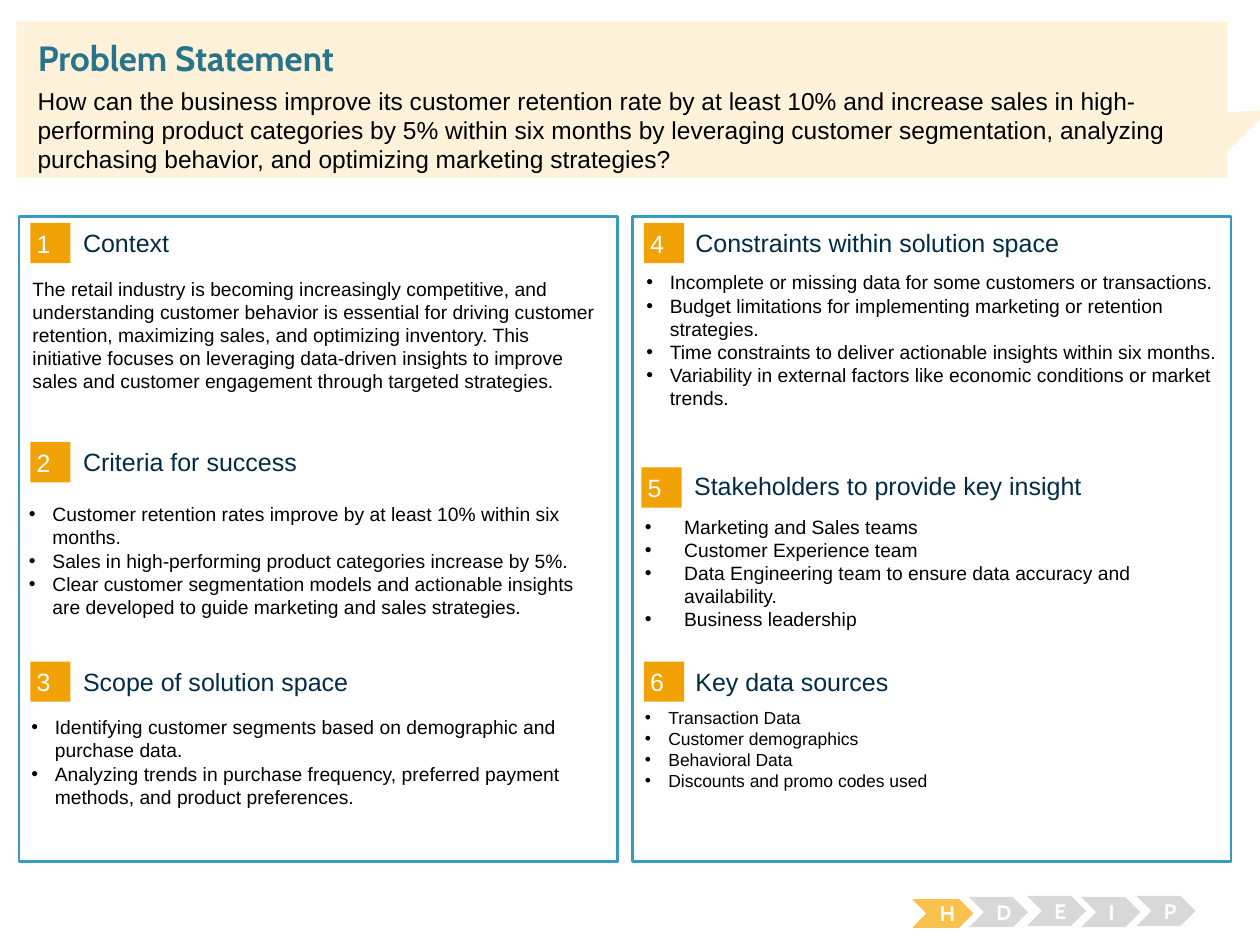
"""Build the problem statement slide with six numbered sections."""
import pptx
import pptx.dml.color
import pptx.enum.shapes
import pptx.enum.text
import pptx.oxml
import pptx.oxml.ns
import pptx.util

Pt = pptx.util.Pt
SHAPES = pptx.enum.shapes.MSO_SHAPE
ANCHORS = pptx.enum.text.MSO_ANCHOR
COLORS = {
    "white": "FFFFFF", "black": "000000", "border": "379BBD", "badge": "F1A205",
    "heading": "002C46", "title": "29748D", "banner": "FEF2DA",
    "active": "FBC14E", "inactive": "D8D8D8",
}


def add_box(kind, left, top, width, height, fill, line=None, line_width=0.75):
    shape = slide.shapes.add_shape(kind, Pt(left), Pt(top), Pt(width), Pt(height))
    shape.shadow.inherit = False
    shape.fill.solid()
    shape.fill.fore_color.rgb = pptx.dml.color.RGBColor.from_string(COLORS[fill])
    if line:
        shape.line.color.rgb = pptx.dml.color.RGBColor.from_string(COLORS[line])
        shape.line.width = Pt(line_width)
    else:
        shape.line.fill.background()
    return shape


def add_text(text, shape=None, box=None, size=11, font="Arial", color="black", bold=False,
             insets=(7.2, 3.6), anchor=ANCHORS.TOP, align=pptx.enum.text.PP_ALIGN.LEFT, indent=0):
    if shape is None:
        shape = slide.shapes.add_textbox(*[Pt(length) for length in box])
    frame = shape.text_frame
    frame.word_wrap = True
    frame.vertical_anchor = anchor
    frame.margin_left = frame.margin_right = Pt(insets[0])
    frame.margin_top = frame.margin_bottom = Pt(insets[1])
    frame.text = text
    for paragraph in frame.paragraphs:
        paragraph.alignment = align
        if indent:
            properties = paragraph._p.get_or_add_pPr()
            properties.set("marL", str(Pt(indent)))
            properties.set("indent", str(-Pt(indent)))
            namespace = pptx.oxml.ns.nsdecls("a")
            for element in (
                f'<a:buClr {namespace}><a:srgbClr val="{COLORS[color]}"/></a:buClr>',
                f'<a:buFont {namespace} typeface="Arial"/>',
                f'<a:buChar {namespace} char="•"/>',
            ):
                properties.append(pptx.oxml.parse_xml(element))
        paragraph.font.size = Pt(size)
        for run in paragraph.runs:
            run.font.size = Pt(size)
            run.font.name = font
            run.font.bold = bold
            run.font.color.rgb = pptx.dml.color.RGBColor.from_string(COLORS[color])


presentation = pptx.Presentation()
presentation.slide_width = Pt(720)
presentation.slide_height = Pt(540)
slide = presentation.slides.add_slide(presentation.slide_layouts[6])

for left in (10.8, 361.4):
    add_box(SHAPES.RECTANGLE, left, 123.8, 342, 368.7, "white", "border", 1.5)

sections = [
    ("1", "Context", (17.3, 127.4), (47.5, 129.6), (11.5, 154.8, 340.6, 97.9), 11, 0, [
        "The retail industry is becoming increasingly competitive, and understanding customer "
        "behavior is essential for driving customer retention, maximizing sales, and optimizing "
        "inventory. This initiative focuses on leveraging data-driven insights to improve sales "
        "and customer engagement through targeted strategies."]),
    ("2", "Criteria for success", (17.3, 252.7), (47.5, 254.9), (9.4, 283.7, 333.4, 88.6), 11, 13.5, [
        "Customer retention rates improve by at least 10% within six months.",
        "Sales in high-performing product categories increase by 5%.",
        "Clear customer segmentation models and actionable insights are developed to guide "
        "marketing and sales strategies."]),
    ("3", "Scope of solution space", (17.3, 378), (47.5, 380.2), (10.8, 405.4, 338.4, 77), 11, 13.5, [
        "Identifying customer segments based on demographic and purchase data.",
        "Analyzing trends in purchase frequency, preferred payment methods, and product "
        "preferences."]),
    ("4", "Constraints within solution space", (367.9, 127.4), (397.4, 129.6),
     (362.2, 151.2, 346.3, 98.6), 11, 13.5, [
        "Incomplete or missing data for some customers or transactions.",
        "Budget limitations for implementing marketing or retention strategies.",
        "Time constraints to deliver actionable insights within six months.",
        "Variability in external factors like economic conditions or market trends."]),
    ("5", "Stakeholders to provide key insight", (366.5, 267.1), (396.7, 268.6),
     (361.4, 290.9, 340.6, 85), 11, 22.5, [
        "Marketing and Sales teams",
        "Customer Experience team",
        "Data Engineering team to ensure data accuracy and availability.",
        "Business leadership"]),
    ("6", "Key data sources", (367.9, 378), (397.4, 380.2), (361.4, 400.3, 340.6, 85), 10, 13.5, [
        "Transaction Data",
        "Customer demographics",
        "Behavioral Data",
        "Discounts and promo codes used"]),
]
for number, heading, badge_at, heading_at, body_box, size, indent, lines in sections:
    badge = add_box(SHAPES.RECTANGLE, *badge_at, 23, 23, "badge")
    add_text(number, shape=badge, size=14.3, color="white", insets=(3.6, 3.6), anchor=ANCHORS.MIDDLE)
    add_text(heading, box=(*heading_at, 283, 18), size=14.3, color="heading", insets=(0, 0),
             anchor=ANCHORS.MIDDLE)
    add_text("\n".join(lines), box=body_box, size=size, indent=indent)

steps = [
    ("H", 522, 514.1, 15.8, "active", "active"),
    ("D", 553.7, 512.6, 17.3, "inactive", None),
    ("E", 586.8, 511.9, 17.3, "inactive", None),
    ("I", 617.8, 512.6, 17.3, "inactive", None),
    ("P", 649.4, 511.9, 17.3, "inactive", None),
]
for letter, left, top, height, fill, line in steps:
    chevron = add_box(SHAPES.CHEVRON, left, top, 33.8, height, fill, line)
    add_text(letter, shape=chevron, size=12, font="Cabin", color="white", bold=True,
             anchor=ANCHORS.MIDDLE, align=pptx.enum.text.PP_ALIGN.CENTER)

banner = add_box(SHAPES.RECTANGULAR_CALLOUT, 9.4, 12.2, 691.9, 89.3, "banner")
banner.adjustments[0] = 0.535
banner.adjustments[1] = 0.066
add_text("Problem Statement", box=(21.6, 20.9, 692.6, 29.5), size=20, font="Cabin",
         color="title", bold=True, insets=(0, 0))
add_text("How can the business improve its customer retention rate by at least 10% and increase "
         "sales in high-performing product categories by 5% within six months by leveraging "
         "customer segmentation, analyzing purchasing behavior, and optimizing marketing "
         "strategies?", box=(14.4, 45.4, 676.1, 57.6), size=14)

presentation.save("out.pptx")
